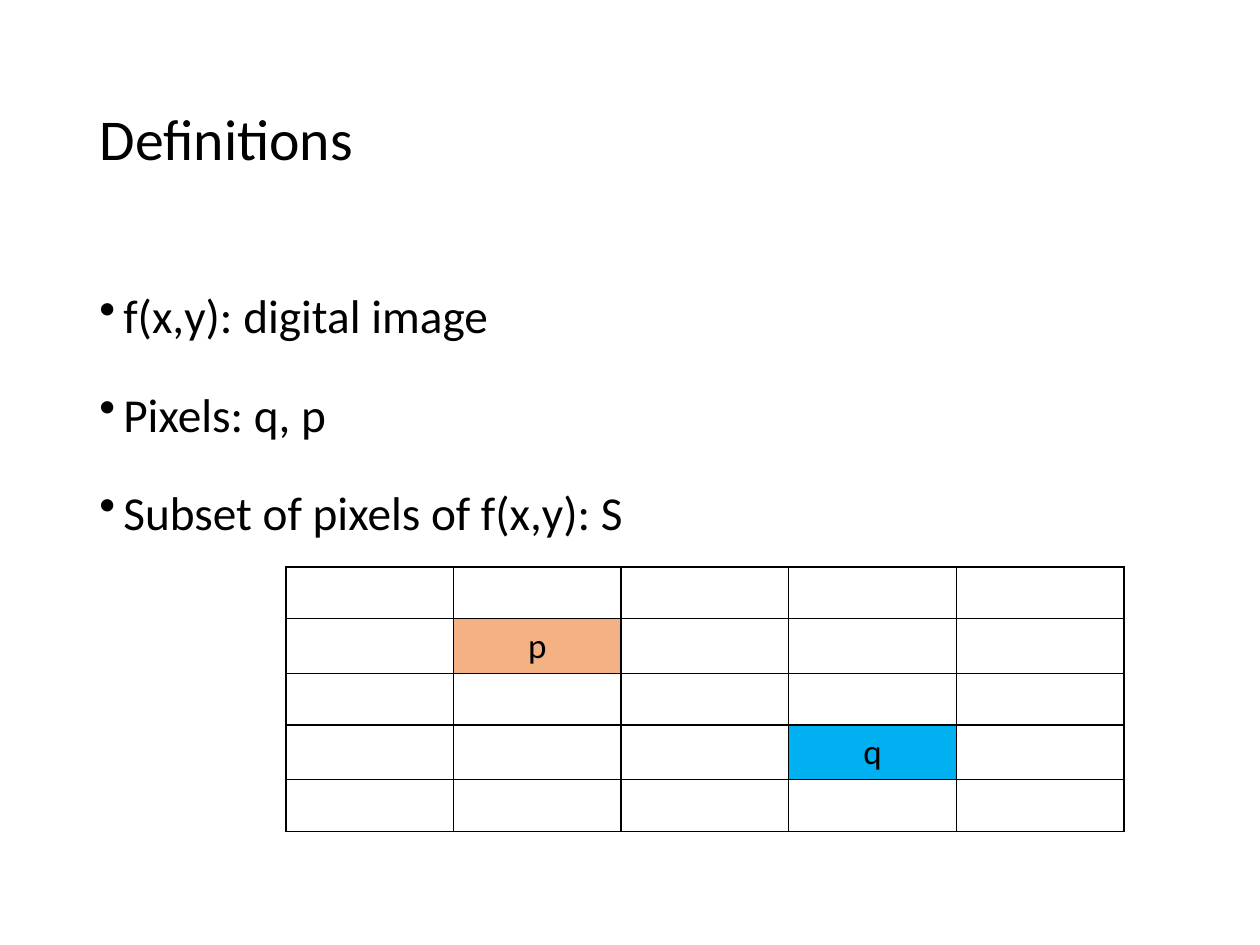
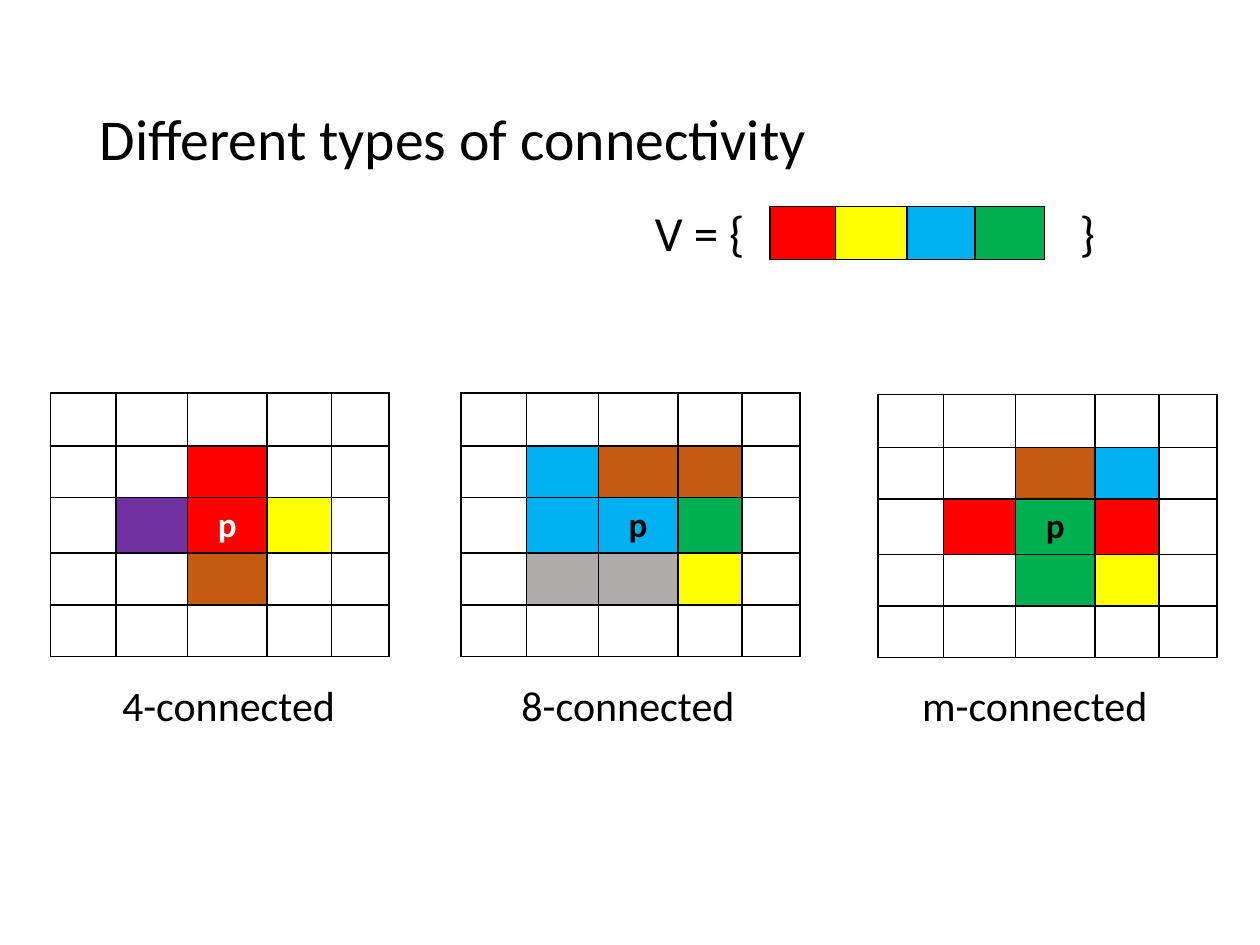
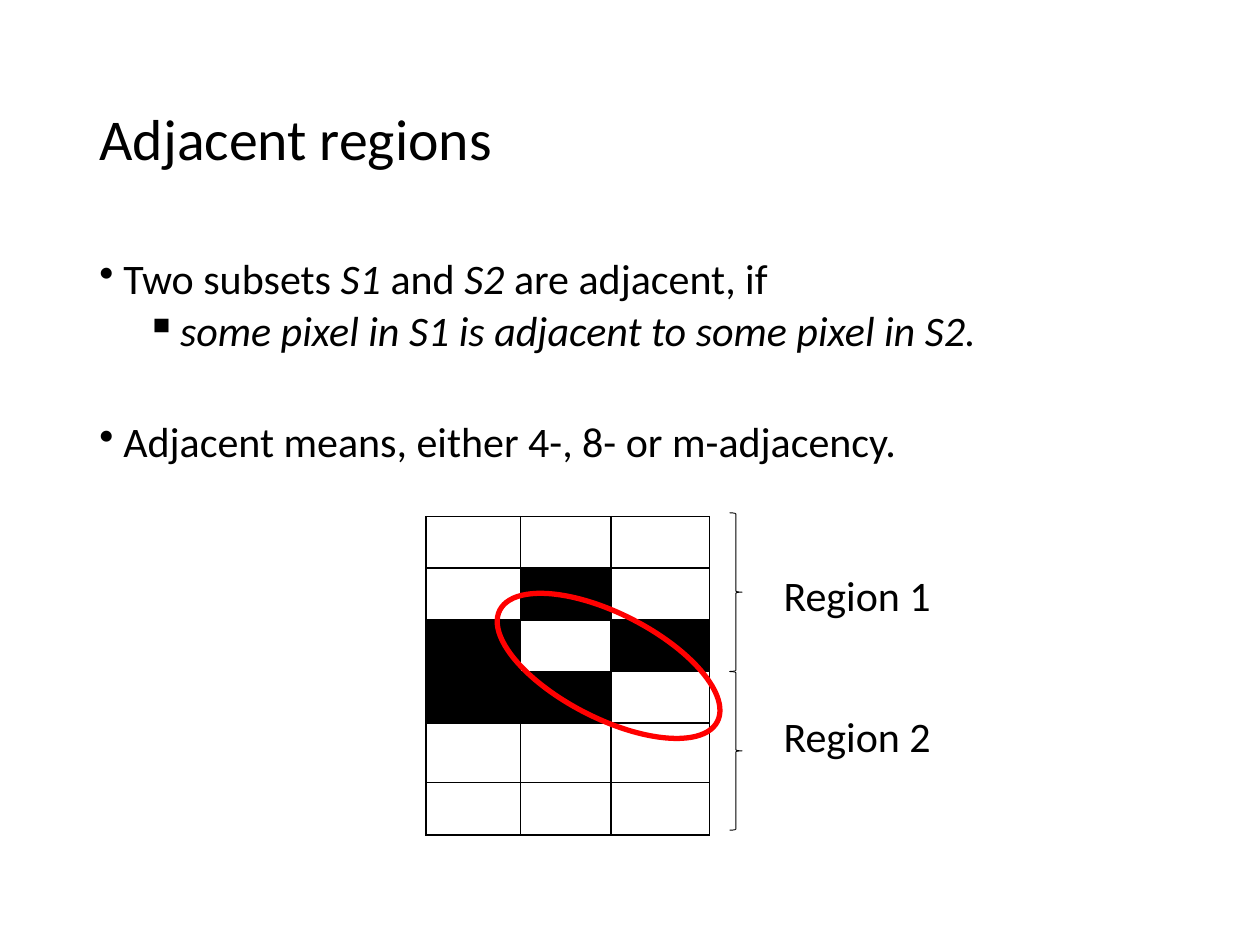
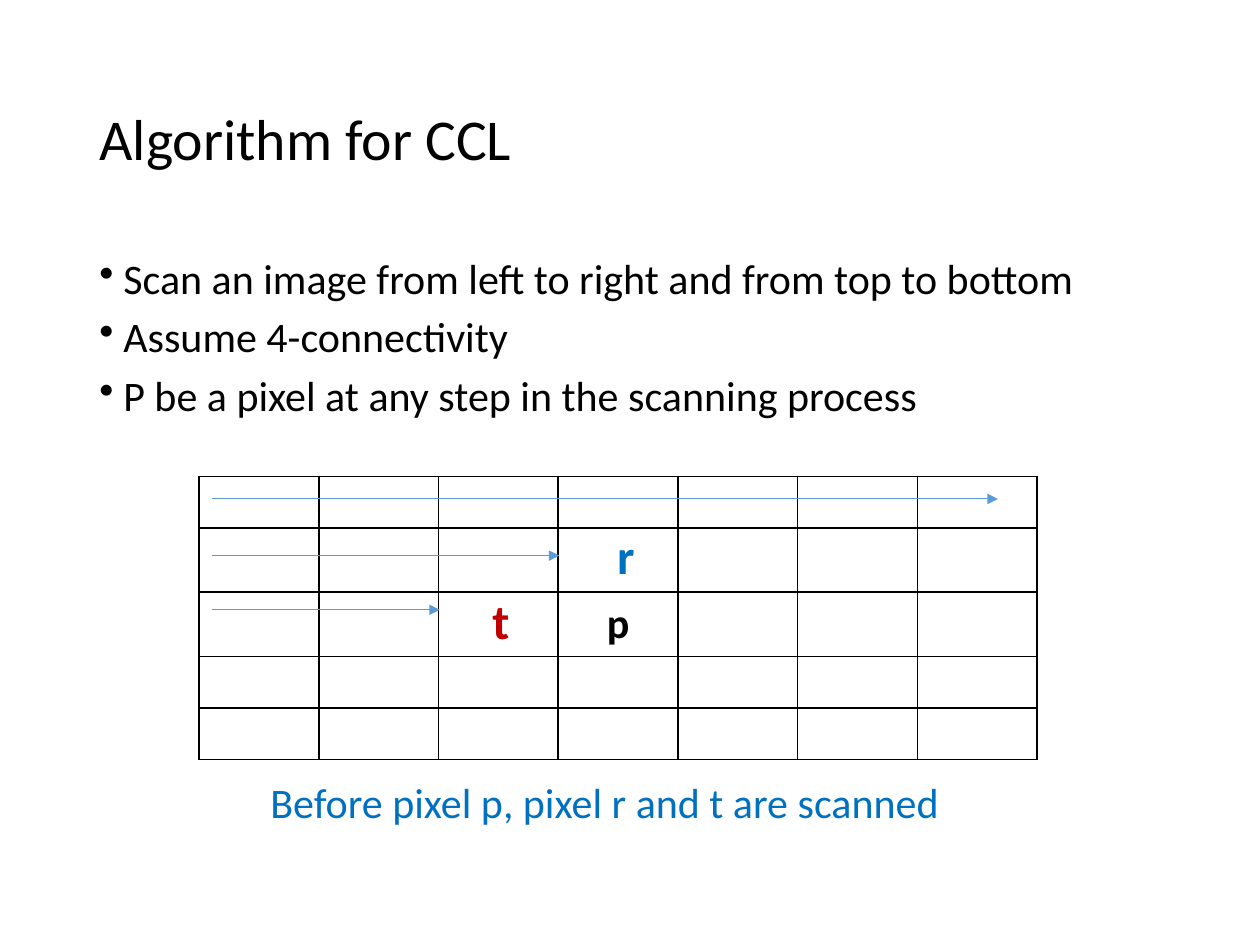
"""Build four slides on pixel connectivity and component labelling."""
from lxml.etree import SubElement
from pptx import Presentation
from pptx.dml.color import RGBColor
from pptx.enum.shapes import MSO_CONNECTOR, MSO_SHAPE
from pptx.enum.text import MSO_ANCHOR, PP_ALIGN
from pptx.oxml.ns import qn
from pptx.util import Inches, Pt

FONT = "Calibri"
BLACK = RGBColor(0x00, 0x00, 0x00)
WHITE = RGBColor(0xFF, 0xFF, 0xFF)
RED = RGBColor(0xFF, 0x00, 0x00)
BLUE = RGBColor(0x00, 0x70, 0xC0)
DARK_RED = RGBColor(0xC0, 0x00, 0x00)
ARROW = RGBColor(0x5B, 0x9B, 0xD5)
FILLS = {
    "K": BLACK,
    "R": RED,
    "Y": RGBColor(0xFF, 0xFF, 0x00),
    "B": RGBColor(0x00, 0xB0, 0xF0),
    "G": RGBColor(0x00, 0xB0, 0x50),
    "V": RGBColor(0x70, 0x30, 0xA0),
    "N": RGBColor(0xC5, 0x5A, 0x11),
    "S": RGBColor(0xAF, 0xAB, 0xAB),
    "O": RGBColor(0xF4, 0xB1, 0x83),
}


def style(para, size, color=BLACK, bold=False):
    """Set the font of a paragraph."""
    font = para.font
    font.name, font.size, font.bold = FONT, Pt(size), bold
    font.color.rgb = color


def grid(slide, left, top, cols, rows, fills, marks={}, size=20, color=BLACK, bold=True):
    """Add a bordered table coloured by one letter per cell."""
    table = slide.shapes.add_table(
        len(rows), len(cols), Inches(left), Inches(top), Inches(sum(cols)), Inches(sum(rows))
    ).table
    table.first_row = table.horz_banding = False
    for col, width in zip(table.columns, cols):
        col.width = Inches(width)
    for row, height in zip(table.rows, rows):
        row.height = Inches(height)
    for y, line in enumerate(fills):
        for x, key in enumerate(line):
            cell = table.cell(y, x)
            props = cell._tc.get_or_add_tcPr()
            for side in ("lnL", "lnR", "lnT", "lnB"):
                edge = SubElement(props, qn("a:" + side), w=str(Pt(1)))
                paint = SubElement(edge, qn("a:solidFill"))
                SubElement(paint, qn("a:srgbClr"), val=str(BLACK))
            if key in FILLS:
                cell.fill.solid()
                cell.fill.fore_color.rgb = FILLS[key]
            else:
                cell.fill.background()
            if (y, x) in marks:
                cell.text = marks[y, x]
                para = cell.text_frame.paragraphs[0]
                para.alignment = PP_ALIGN.CENTER
                style(para, size, color, bold)


deck = Presentation()
deck.slide_width, deck.slide_height = Inches(10), Inches(7.5)

slides = []
for name in ("Definitions", "Different types of connectivity", "Adjacent regions", "Algorithm for CCL"):
    slide = deck.slides.add_slide(deck.slide_layouts[5])
    title = slide.shapes.title
    title.left, title.top, title.width, title.height = map(Inches, (0.69, 0.4, 8.62, 1.45))
    title.text = name
    title.text_frame.vertical_anchor = MSO_ANCHOR.MIDDLE
    para = title.text_frame.paragraphs[0]
    para.alignment = PP_ALIGN.LEFT
    para.line_spacing = 0.9
    style(para, 33)
    slides.append(slide)
define, types, near, scan = slides

TOP = ("•", 0.19, 0.19)
SUB = ("▪", 0.64, 0.27)
bodies = [
    (define, 27, 1.5, [
        ("f(x,y): digital image", TOP, 0),
        ("Pixels: q, p", TOP, 7.5),
        ("Subset of pixels of f(x,y): S", TOP, 7.5),
    ]),
    (near, 24, 0.9, [
        ("Two subsets *S1* and *S2* are adjacent, if", TOP, 0),
        ("*some pixel in S1 is adjacent to some pixel in S2.*", SUB, 3.8),
        ("Adjacent means, either 4-, 8- or m-adjacency.", TOP, 37.7),
    ]),
    (scan, 24, 0.9, [
        ("Scan an image from left to right and from top to bottom", TOP, 0),
        ("Assume 4-connectivity", TOP, 7.5),
        ("P be a pixel at any step in the scanning process", TOP, 7.5),
    ]),
]
for slide, size, pitch, lines in bodies:
    frame = slide.shapes.add_textbox(Inches(0.69), Inches(2), Inches(8.62), Inches(4.76)).text_frame
    frame.word_wrap = True
    for n, (line, (mark, left, hang), gap) in enumerate(lines):
        para = frame.add_paragraph() if n else frame.paragraphs[0]
        para.line_spacing = pitch
        para.space_before = Pt(gap)
        props = para._p.get_or_add_pPr()
        props.set("marL", str(Inches(left)))
        props.set("indent", str(-Inches(hang)))
        SubElement(props, qn("a:buChar"), char=mark)
        style(para, size)
        for k, part in enumerate(line.split("*")):
            if part:
                run = para.add_run()
                run.text = part
                if k % 2:
                    run.font.italic = True

grid(define, 2.27, 4.5, [1.33] * 5, [0.41] * 5,
     [".....", ".O...", ".....", "...B.", "....."],
     {(1, 1): "p", (3, 3): "q"}, bold=False)

COLS = [0.52, 0.57, 0.63, 0.51, 0.46]
ROWS = [0.42] + [0.41] * 4
for left, top, color, fills in (
    (0.4, 3.12, WHITE, [".....", "..R..", ".VRY.", "..N..", "....."]),
    (3.66, 3.12, BLACK, [".....", ".BNN.", ".BBG.", ".SSY.", "....."]),
    (6.97, 3.13, BLACK, [".....", "..NB.", ".RGR.", "..GY.", "....."]),
):
    grid(types, left, top, COLS, ROWS, fills, {(2, 2): "p"}, color=color)
grid(types, 6.11, 1.64, [0.52, 0.57, 0.54, 0.55], [0.42], ["RYBG"])

grid(near, 3.38, 4.1, [0.75, 0.72, 0.78], [0.41] * 4 + [0.47, 0.42],
     ["...", ".K.", "K.K", "KK.", "...", "..."])
for kind, left, top, width, height, color, weight, turn in (
    (MSO_SHAPE.RIGHT_BRACE, 5.79, 4.07, 0.1, 1.26, BLACK, 0.5, 0),
    (MSO_SHAPE.RIGHT_BRACE, 5.79, 5.33, 0.1, 1.26, BLACK, 0.5, 0),
    (MSO_SHAPE.OVAL, 3.86, 4.87, 1.94, 0.83, RED, 3, 27.1),
):
    shape = near.shapes.add_shape(kind, Inches(left), Inches(top), Inches(width), Inches(height))
    shape.shadow.inherit = False
    shape.fill.background()
    shape.line.color.rgb = color
    shape.line.width = Pt(weight)
    shape.rotation = turn

grid(scan, 1.58, 3.78, [0.95] * 7, [0.41, 0.51, 0.51, 0.41, 0.41],
     ["." * 7] * 5, {(2, 3): "p"}, size=24)
for end, y in ((7.92, 3.96), (4.44, 4.41), (3.49, 4.84)):
    arrow = scan.shapes.add_connector(MSO_CONNECTOR.STRAIGHT, Inches(1.68), Inches(y), Inches(end), Inches(y))
    arrow.line.color.rgb = ARROW
    arrow.line.width = Pt(0.5)
    SubElement(arrow.line._get_or_add_ln(), qn("a:tailEnd"), type="triangle")
    SubElement(arrow._element.spPr, qn("a:effectLst"))

labels = [
    (types, "V = {\t}", 5.1, 1.56, 3.73, 28, BLACK, False),
    (types, "4-connected", 0.87, 5.34, 1.91, 24, BLACK, False),
    (types, "8-connected", 4.04, 5.34, 1.91, 24, BLACK, False),
    (types, "m-connected", 7.22, 5.34, 2.01, 24, BLACK, False),
    (near, "Region 1", 6.12, 4.47, 1.38, 24, BLACK, False),
    (near, "Region 2", 6.12, 5.59, 1.38, 24, BLACK, False),
    (scan, "r", 4.8, 4.12, 0.34, 28, BLUE, True),
    (scan, "t", 3.81, 4.64, 0.34, 28, DARK_RED, True),
    (scan, "Before pixel p, pixel r and t are scanned", 1.87, 6.11, 5.86, 24, BLUE, False),
]
for slide, words, left, top, width, size, color, bold in labels:
    height = 0.57 if size == 28 else 0.5
    frame = slide.shapes.add_textbox(Inches(left), Inches(top), Inches(width), Inches(height)).text_frame
    frame.word_wrap = True
    frame.text = words
    para = frame.paragraphs[0]
    para.alignment = PP_ALIGN.CENTER if width > 5 else PP_ALIGN.LEFT
    if "\t" in words:
        tabs = SubElement(para._p.get_or_add_pPr(), qn("a:tabLst"))
        SubElement(tabs, qn("a:tab"), pos=str(Inches(3.37)), algn="l")
    style(para, size, color, bold)

deck.save("out.pptx")
